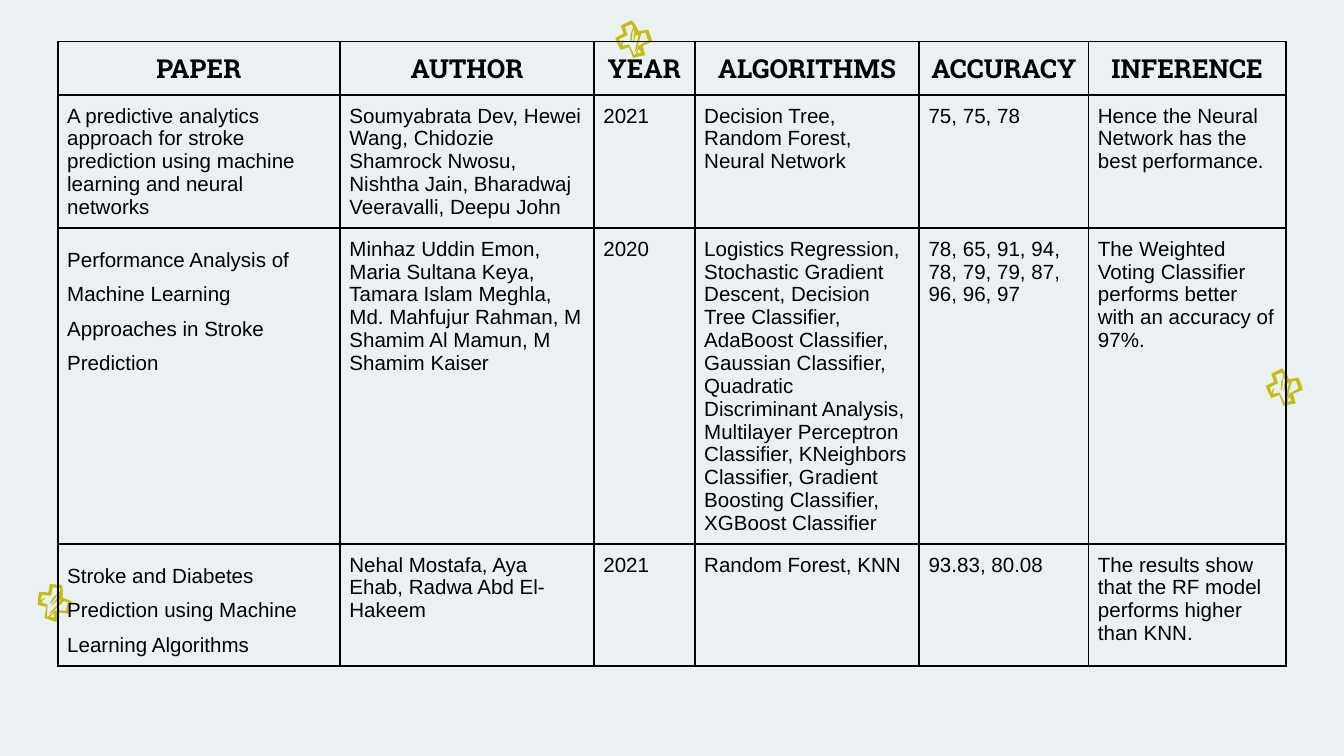
import math
import lxml.etree
import pptx
import pptx.dml.color
import pptx.enum.text
import pptx.oxml.ns
import pptx.util

inch = pptx.util.Inches
colours = {"page": "EBF0F3", "ink": "000000", "cross": "C4BE12"}
rgb = {name: pptx.dml.color.RGBColor.from_string(code) for name, code in colours.items()}

# Page, 16 by 9
deck = pptx.Presentation()
deck.slide_width, deck.slide_height = inch(10), inch(10 * 9 / 16)
page = deck.slides.add_slide(deck.slide_layouts[6])
page.background.fill.solid()
page.background.fill.fore_color.rgb = rgb["page"]

# Hand-drawn cross: contours in hundredths of an inch, drawn with a slight tilt
contours = [
    [(17, 8), (24, 7), (26, 12), (27, 16), (20, 19), (22, 26), (17, 27), (13, 28), (10, 20),
     (4, 22), (1, 16), (0, 13), (6, 10), (5, 7), (4, 4), (12, 0), (15, 4)],
    [(12, 3), (7, 5), (9, 11), (3, 14), (4, 18), (6, 14), (6, 16), (5, 19), (10, 18), (14, 26),
     (15, 25), (17, 19), (24, 15), (22, 9), (19, 10), (16, 21), (14, 24), (17, 11), (15, 11),
     (14, 14), (13, 18), (13, 16), (14, 9), (13, 6), (12, 15), (11, 17), (11, 15), (11, 11),
     (13, 5)],
    [(16, 25), (19, 24), (17, 21)],
]
cross_wide, cross_high, tilt = 0.27, 0.28, math.radians(5.3)


def upright(point):
    """Turn a contour point back by the tilt, around the centre of the cross."""
    x, y = point[0] / 100 - cross_wide / 2, point[1] / 100 - cross_high / 2
    return (inch(x * math.cos(tilt) - y * math.sin(tilt) + cross_wide / 2),
            inch(x * math.sin(tilt) + y * math.cos(tilt) + cross_high / 2))


for left, top, turn in [(9.42, 2.74, 354.7), (4.58, 0.15, 354.7), (0.27, 4.34, 24.8)]:
    builder = page.shapes.build_freeform(*upright(contours[0][0]))
    for number, contour in enumerate(contours):
        points = [upright(point) for point in contour]
        if number:
            builder.move_to(*points[0])
        builder.add_line_segments(points[1:], close=True)
    cross = builder.convert_to_shape()
    placing = {"left": inch(left), "top": inch(top), "width": inch(cross_wide),
               "height": inch(cross_high), "rotation": turn}
    for name, value in placing.items():
        setattr(cross, name, value)
    cross.shadow.inherit = False
    cross.fill.solid()
    cross.fill.fore_color.rgb = rgb["cross"]
    cross.line.fill.background()

# Table content
rows = [
    ["PAPER", "AUTHOR", "YEAR", "ALGORITHMS", "ACCURACY", "INFERENCE"],
    ["A predictive analytics approach for stroke prediction using machine learning and "
     "neural networks",
     "Soumyabrata Dev, Hewei Wang, Chidozie Shamrock Nwosu, Nishtha Jain, Bharadwaj "
     "Veeravalli, Deepu John",
     "2021", "Decision Tree, Random Forest, Neural Network", "75, 75, 78",
     "Hence the Neural Network has the best performance."],
    ["Performance Analysis of Machine Learning Approaches in Stroke Prediction",
     "Minhaz Uddin Emon, Maria Sultana Keya, Tamara Islam Meghla, Md. Mahfujur Rahman, "
     "M Shamim Al Mamun, M Shamim Kaiser",
     "2020",
     "Logistics Regression, Stochastic Gradient Descent, Decision Tree Classifier, "
     "AdaBoost Classifier, Gaussian Classifier, Quadratic Discriminant Analysis, "
     "Multilayer Perceptron Classifier, KNeighbors Classifier, Gradient Boosting "
     "Classifier, XGBoost Classifier",
     "78, 65, 91, 94, 78, 79, 79, 87, 96, 96, 97",
     "The Weighted Voting Classifier performs better with an accuracy of 97%."],
    ["Stroke and Diabetes Prediction using Machine Learning Algorithms",
     "Nehal Mostafa, Aya Ehab, Radwa Abd El-Hakeem",
     "2021", "Random Forest, KNN", "93.83, 80.08",
     "The results show that the RF model performs higher than KNN."],
]
column_widths = [2.1, 1.89, 0.75, 1.67, 1.26, 1.47]
row_heights = [0.39, 0.98, 2.35, 0.9]
fonts = {
    "head": {"name": "Roboto Slab", "size": pptx.util.Pt(14), "bold": True},
    "body": {"name": "Arial", "size": pptx.util.Pt(11), "bold": False},
}
margins = {"margin_" + side: inch(0.07) for side in ("left", "right", "top", "bottom")}


def add_borders(cell):
    """Rule all four sides of a cell with a one-point line."""
    properties = cell._tc.get_or_add_tcPr()
    for tag in ("a:lnL", "a:lnR", "a:lnT", "a:lnB"):
        line = lxml.etree.SubElement(properties, pptx.oxml.ns.qn(tag), w=str(pptx.util.Pt(1)))
        fill = lxml.etree.SubElement(line, pptx.oxml.ns.qn("a:solidFill"))
        lxml.etree.SubElement(fill, pptx.oxml.ns.qn("a:srgbClr"), val=colours["ink"])


# Table
frame = page.shapes.add_table(len(rows), len(column_widths), inch(0.43), inch(0.31),
                              inch(sum(column_widths)), inch(sum(row_heights)))
table = frame.table
table.first_row = table.horz_banding = False
for column, width in zip(table.columns, column_widths):
    column.width = inch(width)
for row_number, (texts, height) in enumerate(zip(rows, row_heights)):
    table.rows[row_number].height = inch(height)
    for column_number, text in enumerate(texts):
        cell = table.cell(row_number, column_number)
        add_borders(cell)
        cell.fill.background()
        for name, value in margins.items():
            setattr(cell, name, value)
        para = cell.text_frame.paragraphs[0]
        span = para.add_run()
        span.text = text
        span.font.color.rgb = rgb["ink"]
        for name, value in fonts["body" if row_number else "head"].items():
            setattr(span.font, name, value)
        if row_number == 0:
            para.alignment = pptx.enum.text.PP_ALIGN.CENTER
        elif row_number > 1 and column_number == 0:
            para.line_spacing = 1.5

deck.save("out.pptx")
